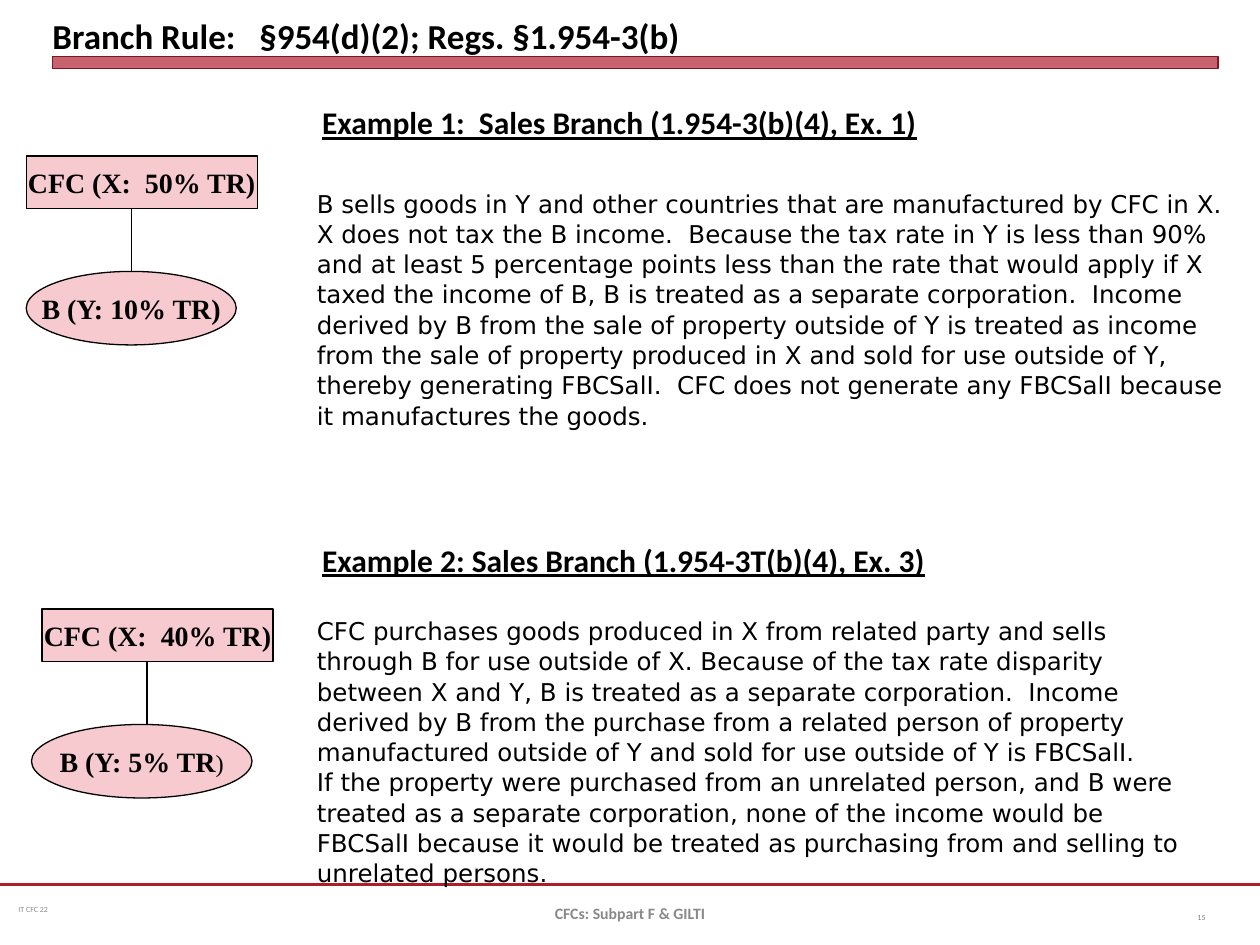
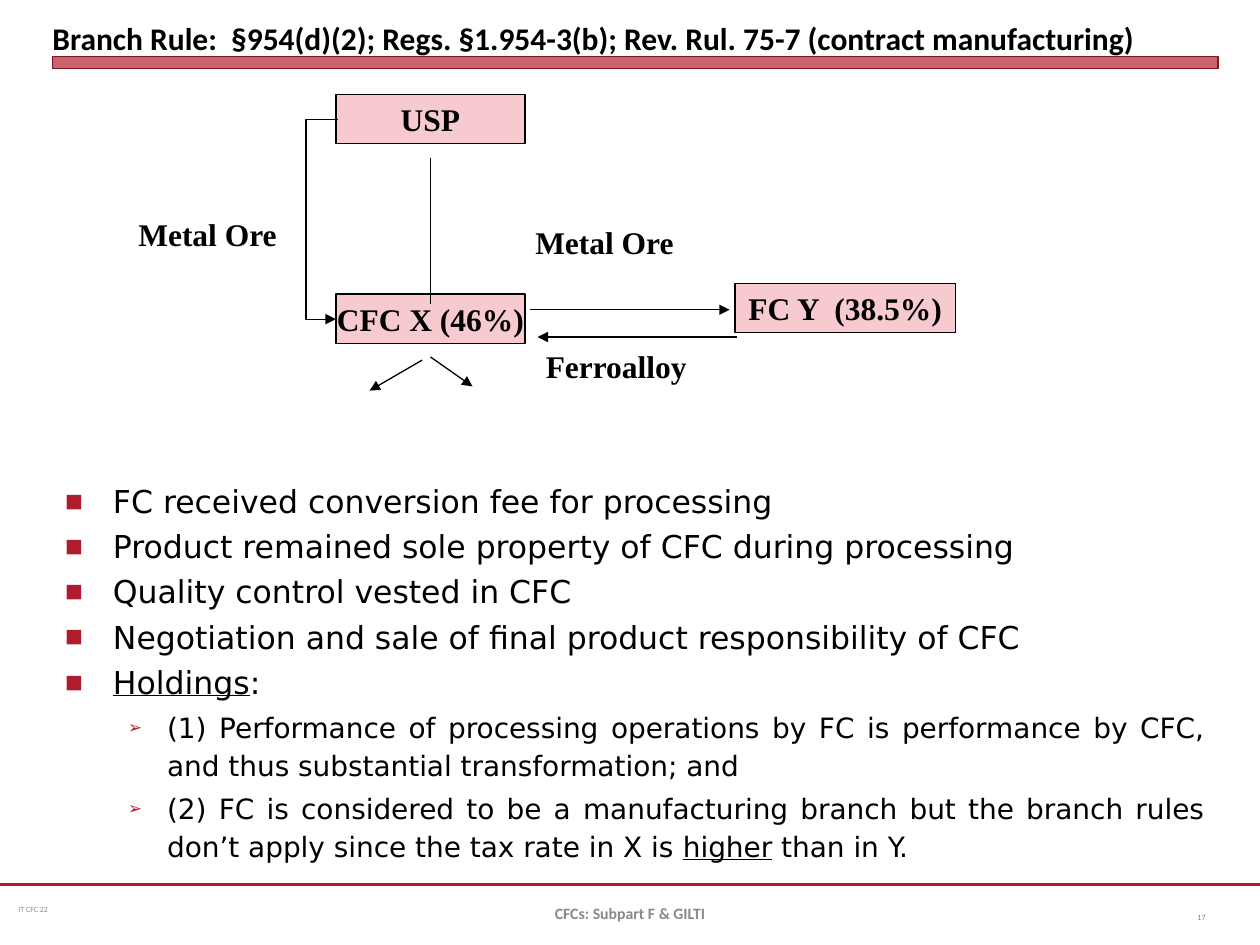
import dataclasses
import typing

import lxml.etree
import pptx
import pptx.dml.color
import pptx.enum.shapes
import pptx.enum.text
import pptx.oxml.ns
import pptx.util

Pt = pptx.util.Pt
SHAPE = pptx.enum.shapes.MSO_SHAPE
CONNECTOR = pptx.enum.shapes.MSO_CONNECTOR
ALIGN = pptx.enum.text.PP_ALIGN
ANCHOR = pptx.enum.text.MSO_ANCHOR
FIT = pptx.enum.text.MSO_AUTO_SIZE
qn = pptx.oxml.ns.qn

COLORS = {"accent": "B01C2E", "edge": "821522", "node": "F7CAD0",
          "ink": "000000", "footer": "898989", "number": "808080"}
COLS, ROWS = 120, 90
prs = pptx.Presentation()
prs.slide_width, prs.slide_height = pptx.util.Inches(10), pptx.util.Inches(7.5)


class Box(typing.NamedTuple):
    """Left, top, width and height in grid columns and rows."""
    x: float
    y: float
    w: float
    h: float


class Run(typing.NamedTuple):
    """Text with font values that differ from its style."""
    text: str
    font: dict = {}


@dataclasses.dataclass(frozen=True)
class Style:
    """Look of a block of text."""
    font: dict
    color: str = "ink"
    para: dict = dataclasses.field(default_factory=dict)
    frame: dict = dataclasses.field(default_factory=dict)


@dataclasses.dataclass(frozen=True)
class Bullet:
    """Mark and indents of a list level, in inches."""
    mark: str
    left: float
    hang: float
    style: Style


@dataclasses.dataclass(frozen=True)
class Node:
    """Entity in a structure chart."""
    box: Box
    runs: list
    size: float = 16
    kind: int = SHAPE.RECTANGLE


@dataclasses.dataclass(frozen=True)
class Link:
    """Connector between two grid points."""
    start: tuple
    end: tuple
    arrow: bool = False
    color: str = "ink"
    width: float = 0.75
    kind: int = CONNECTOR.STRAIGHT


def font(name: str, size: float, **extra) -> dict:
    """Return font values."""
    return {"name": name, "size": Pt(size), **extra}


def body_style(size: float, **para) -> Style:
    """Return a style for running text."""
    return Style(font("DejaVu Sans", size), para={"line_spacing": 1.03, **para},
                 frame={"word_wrap": True})


NO_MARGINS = dict.fromkeys(
    ("margin_left", "margin_top", "margin_right", "margin_bottom"), 0)
MIDDLE = {"vertical_anchor": ANCHOR.MIDDLE, "word_wrap": True}
TAG = Style(font("Calibri", 4.5), "footer", frame={
    **MIDDLE, "margin_left": Pt(4.5), "margin_right": Pt(4.5)})
NUMBER = Style(font("Calibri", 4.5), "number", {"alignment": ALIGN.RIGHT}, MIDDLE)
FOOTER = Style(font("Calibri", 9, bold=True), "footer", {"alignment": ALIGN.CENTER}, MIDDLE)
HEADING = Style(font("Calibri", 18, bold=True, underline=True), frame={"word_wrap": True})
LABEL = Style(font("Times New Roman", 18, bold=True), frame={"word_wrap": True})
PROSE = body_style(14)
POINT = Bullet("■", 0.38, 0.38, body_style(
    18, alignment=ALIGN.JUSTIFY, space_before=Pt(3.6)))
HOLDING = Bullet("➢", 0.81, 0.31, body_style(
    16, alignment=ALIGN.JUSTIFY, space_before=Pt(3.2), line_spacing=1.13))


def apply(obj, values: dict) -> None:
    """Set attributes from a dict."""
    for name, value in values.items():
        setattr(obj, name, value)


def rgb(name: str) -> pptx.dml.color.RGBColor:
    """Return a named colour."""
    return pptx.dml.color.RGBColor.from_string(COLORS[name])


def col(n: float) -> int:
    """Return the length of n columns."""
    return round(prs.slide_width * n / COLS)


def row(n: float) -> int:
    """Return the length of n rows."""
    return round(prs.slide_height * n / ROWS)


def place(box: Box) -> tuple:
    """Return a box in slide units."""
    return col(box.x), row(box.y), col(box.w), row(box.h)


def write(tf, paragraphs: list, style: Style) -> None:
    """Fill a text frame with paragraphs of runs."""
    apply(tf, style.frame)
    for i, runs in enumerate(paragraphs):
        p = tf.add_paragraph() if i else tf.paragraphs[0]
        add_runs(p, runs, style)


def add_runs(p, runs: list, style: Style) -> None:
    """Add styled runs to a paragraph."""
    apply(p, style.para)
    for run in runs:
        r = p.add_run()
        r.text = run.text
        apply(r.font, {**style.font, **run.font})
        r.font.color.rgb = rgb(style.color)


def add_text(s, box: Box, style: Style, *texts: str) -> None:
    """Add a text box with one paragraph per text."""
    write(s.shapes.add_textbox(*place(box)).text_frame, [[Run(t)] for t in texts], style)


def add_shape(s, kind: int, box: Box, fill: str, line: str, width: float):
    """Add a flat preset shape."""
    sp = s.shapes.add_shape(kind, *place(box))
    sp.shadow.inherit = False
    sp.fill.solid()
    sp.fill.fore_color.rgb = rgb(fill)
    sp.line.color.rgb = rgb(line)
    sp.line.width = Pt(width)
    return sp


def add_node(s, node: Node) -> None:
    """Add an entity with its centred name."""
    sp = add_shape(s, node.kind, node.box, "node", "ink", 0.75)
    write(sp.text_frame, [node.runs], Style(
        font("Times New Roman", node.size, bold=True), para={"alignment": ALIGN.CENTER},
        frame={"vertical_anchor": ANCHOR.MIDDLE, "word_wrap": False}))


def add_link(s, link: Link):
    """Add a connector, with an arrowhead if asked."""
    (x1, y1), (x2, y2) = link.start, link.end
    c = s.shapes.add_connector(link.kind, col(x1), row(y1), col(x2), row(y2))
    c.line.color.rgb = rgb(link.color)
    c.line.width = Pt(link.width)
    if link.arrow:
        lxml.etree.SubElement(c.line._get_or_add_ln(), qn("a:tailEnd"), type="triangle")
    lxml.etree.SubElement(c._element.spPr, qn("a:effectLst"))
    return c


def add_bullet(p, bullet: Bullet, runs: list) -> None:
    """Turn a paragraph into a list item."""
    add_runs(p, runs, bullet.style)
    pPr = p._p.get_or_add_pPr()
    pPr.set("marL", str(pptx.util.Inches(bullet.left)))
    pPr.set("indent", str(-pptx.util.Inches(bullet.hang)))
    clr = lxml.etree.SubElement(pPr, qn("a:buClr"))
    lxml.etree.SubElement(clr, qn("a:srgbClr"), val=COLORS["accent"])
    lxml.etree.SubElement(pPr, qn("a:buSzPct"), val="60000")
    lxml.etree.SubElement(pPr, qn("a:buFont"), typeface="DejaVu Sans")
    lxml.etree.SubElement(pPr, qn("a:buChar"), char=bullet.mark)


def new_slide(layout: int, title: str, size: float, number: int):
    """Add a slide with title, band and footer."""
    s = prs.slides.add_slide(prs.slide_layouts[layout])
    add_link(s, Link((0, 84.25), (COLS, 84.25), color="accent", width=1.25))
    band = add_shape(s, SHAPE.RECTANGLE, Box(5, 5.4, 111, 1.15), "accent", "edge", 0)
    clr = band._element.spPr.find(qn("a:solidFill"))[0]
    lxml.etree.SubElement(clr, qn("a:alpha"), val="69000")
    sp = s.shapes.title
    apply(sp, dict(zip(("left", "top", "width", "height"), place(Box(5, 0.6, 111, 4.8)))))
    write(sp.text_frame, [[Run(title)]], Style(
        font("Calibri", size, bold=True), para={"alignment": ALIGN.LEFT},
        frame={**NO_MARGINS, "vertical_anchor": ANCHOR.BOTTOM, "auto_size": FIT.NONE}))
    add_text(s, Box(1, 84.25, 31, 4.8), TAG, "IT CFC 22")
    add_text(s, Box(110, 85, 6, 4.8), NUMBER, str(number))
    add_text(s, Box(41, 84.6, 38, 4.8), FOOTER, "CFCs: Subpart F & GILTI")
    return s


def sales_branch() -> None:
    """Build the slide with the two sales branch examples."""
    s = new_slide(5, "Branch Rule:   §954(d)(2); Regs. §1.954-3(b)", 20, 15)
    for node in (
        Node(Box(2.5, 14.85, 22, 5), [Run("CFC (X:  50% TR)")]),
        Node(Box(2.5, 25.85, 20, 7), [Run("B (Y: 10% TR)")], kind=SHAPE.OVAL),
        Node(Box(4, 58, 22, 5), [Run("CFC (X:  40% TR)")]),
        Node(Box(3, 69, 21, 7), [Run("B (Y: 5% TR"), Run(")", {"size": Pt(14), "bold": False})],
             kind=SHAPE.OVAL),
    ):
        add_node(s, node)
    for x, y in ((12.5, 19.85), (14, 63)):
        add_link(s, Link((x, y), (x, y + 6)))
    add_text(s, Box(29, 17.3, 91, 23.9), PROSE,
             "B sells goods in Y and other countries that are manufactured by CFC in X.  "
             "X does not tax the B income.  Because the tax rate in Y is less than 90% and at "
             "least 5 percentage points less than the rate that would apply if X taxed the "
             "income of B, B is treated as a separate corporation.  Income derived by B from "
             "the sale of property outside of Y is treated as income from the sale of property "
             "produced in X and sold for use outside of Y, thereby generating FBCSalI.  CFC "
             "does not generate any FBCSalI because it manufactures the goods.")
    add_text(s, Box(29, 58, 86, 26.6), PROSE,
             "CFC purchases goods produced in X from related party and sells through B for use "
             "outside of X. Because of the tax rate disparity between X and Y, B is treated as "
             "a separate corporation.  Income derived by B from the purchase from a related "
             "person of property manufactured outside of Y and sold for use outside of Y is "
             "FBCSalI.",
             "If the property were purchased from an unrelated person, and B were treated as a "
             "separate corporation, none of the income would be FBCSalI because it would be "
             "treated as purchasing from and selling to unrelated persons.")
    add_text(s, Box(29.5, 9.25, 76, 4.8), HEADING,
             "Example 1:  Sales Branch (1.954-3(b)(4), Ex. 1)")
    add_text(s, Box(29.5, 50.9, 83, 4.8), HEADING,
             "Example 2: Sales Branch (1.954-3T(b)(4), Ex. 3)")


def contract_manufacturing() -> None:
    """Build the slide on contract manufacturing."""
    s = new_slide(1, "Branch Rule:  §954(d)(2); Regs. §1.954-3(b); Rev. Rul. 75-7 "
                     "(contract manufacturing)", 18, 17)
    for x, y, w, name in ((32, 9, 18, "USP"), (32, 28, 18, "CFC X (46%)"),
                          (70, 27, 21, "FC Y  (38.5%)")):
        add_node(s, Node(Box(x, y, w, 4.7), [Run(name)], 18))
    for link in (
        Link((50.5, 29.5), (69.5, 29.5), True),
        Link((70.2, 32.1), (51.2, 32.1), True),
        Link((41, 15), (41, 29)),
        Link((40.2, 34.3), (35.2, 37.2), True),
        Link((41, 34), (45, 36.8), True),
    ):
        add_link(s, link)
    supply = add_link(s, Link((32.16, 11.4), (32, 30.4), True, kind=CONNECTOR.ELBOW))
    av = supply._element.spPr.find(qn("a:prstGeom")).find(qn("a:avLst"))
    lxml.etree.SubElement(av, qn("a:gd"), name="adj1", fmla="val 1875000")
    for x, y, name in ((49.8, 20.65, "Metal Ore"), (50.8, 32.5, "Ferroalloy"),
                       (12, 19.9, "Metal Ore")):
        add_text(s, Box(x, y, 18, 4.8), LABEL, name)
    under = {"underline": True}
    items = [(POINT, [Run(t)]) for t in (
        "FC received conversion fee for processing",
        "Product remained sole property of CFC during processing",
        "Quality control vested in CFC",
        "Negotiation and sale of final product responsibility of CFC")]
    items += [
        (POINT, [Run("Holdings", under), Run(":")]),
        (HOLDING, [Run("(1) Performance of processing operations by FC is performance by "
                       "CFC, and thus substantial transformation; and")]),
        (HOLDING, [Run("(2) FC is considered to be a manufacturing branch but the branch "
                       "rules don’t apply since the tax rate in X is "),
                   Run("higher", under), Run(" than in Y.")]),
    ]
    sp = s.placeholders[1]
    apply(sp, dict(zip(("left", "top", "width", "height"), place(Box(5, 45.2, 111, 38)))))
    tf = sp.text_frame
    apply(tf, {"word_wrap": True, "auto_size": FIT.NONE})
    for i, (bullet, runs) in enumerate(items):
        p = tf.add_paragraph() if i else tf.paragraphs[0]
        p.level = int(bullet is HOLDING)
        add_bullet(p, bullet, runs)


if __name__ == "__main__":
    sales_branch()
    contract_manufacturing()
    prs.save("out.pptx")
